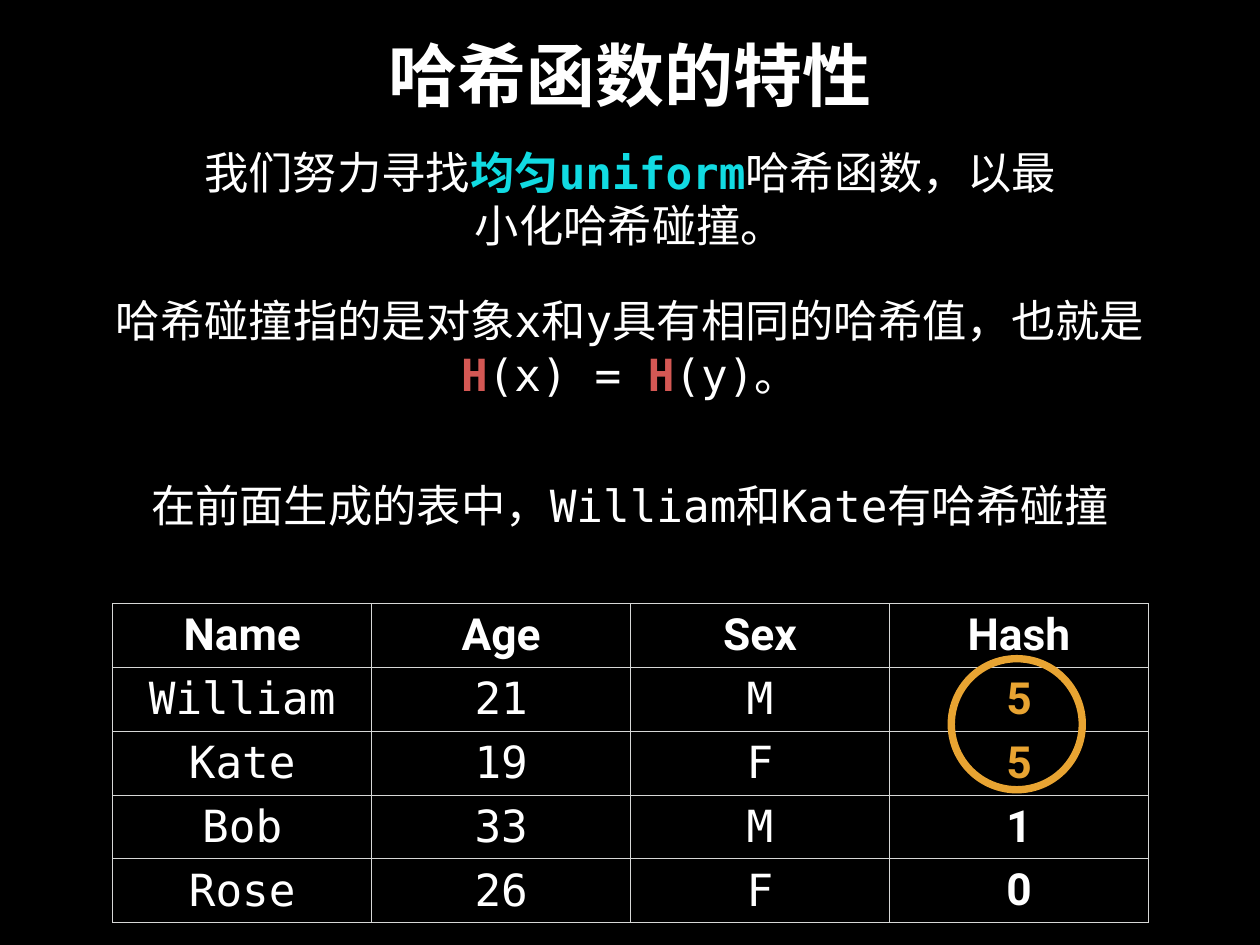
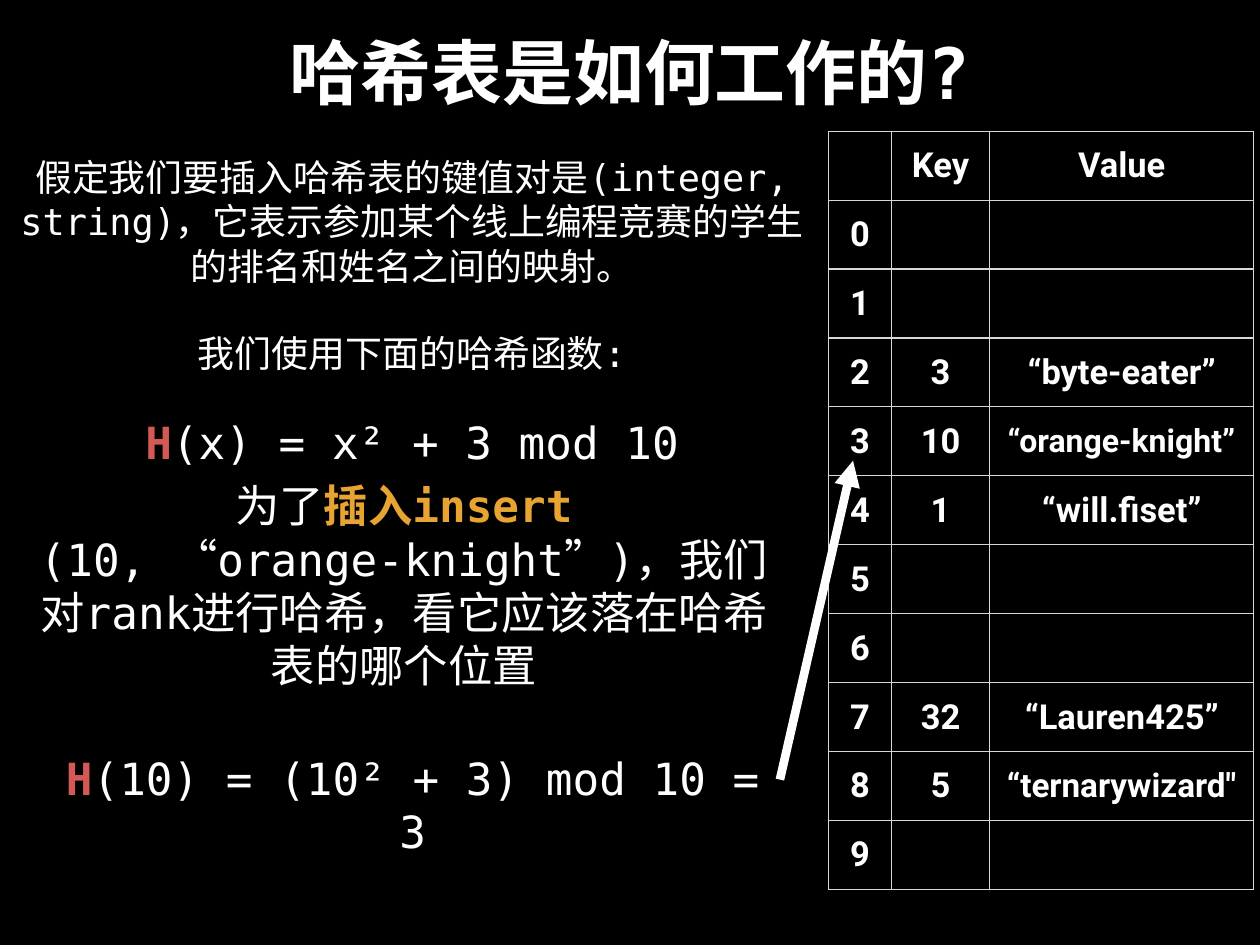
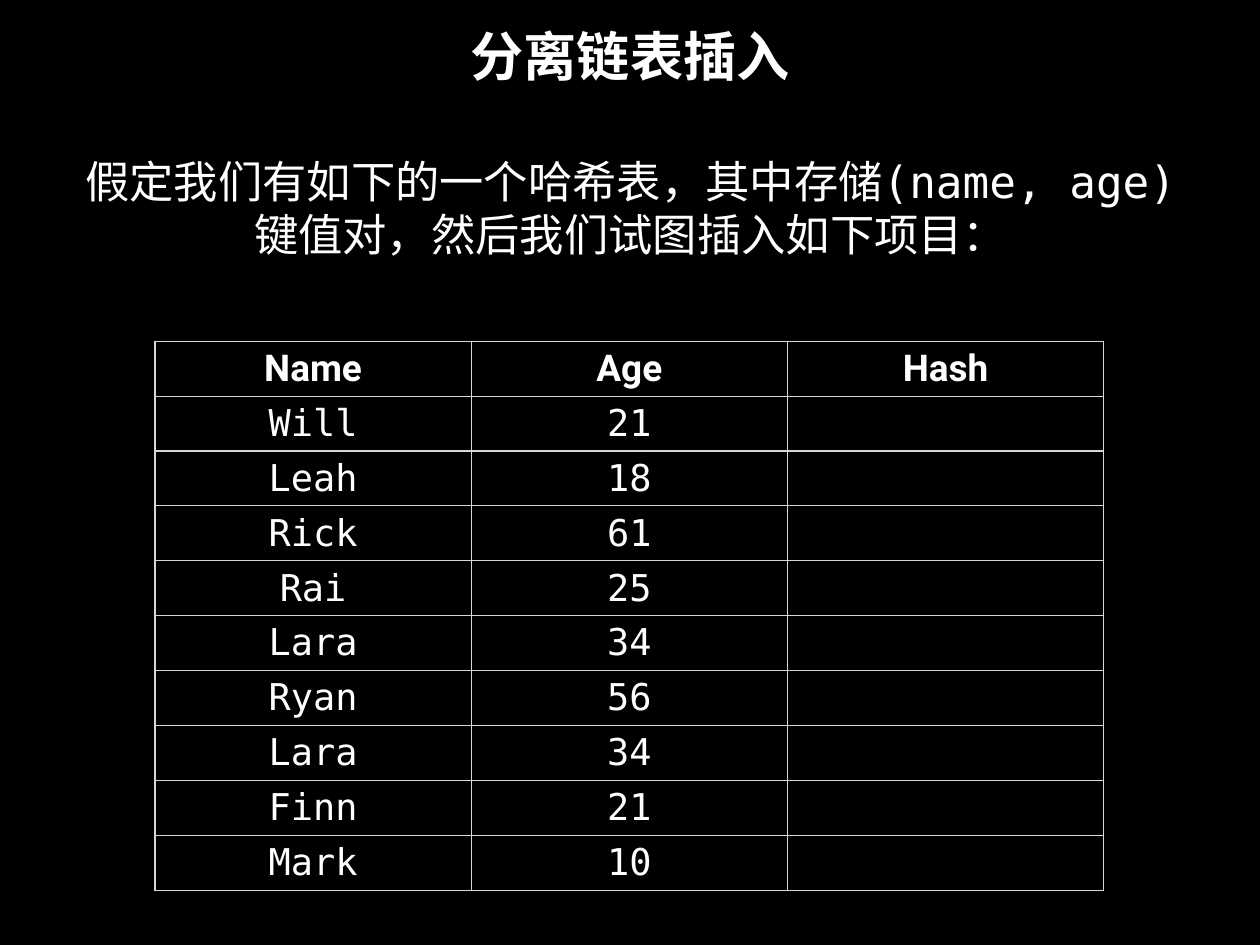
"""Build three slides on hash functions and hash tables."""
from lxml import etree
from pptx import Presentation
from pptx.dml.color import RGBColor
from pptx.enum.shapes import MSO_CONNECTOR, MSO_SHAPE
from pptx.enum.text import MSO_ANCHOR, PP_ALIGN
from pptx.oxml.ns import qn
from pptx.util import Inches, Pt

STRAIGHT = MSO_CONNECTOR.STRAIGHT
ELLIPSE = MSO_SHAPE.OVAL
MIDDLE = MSO_ANCHOR.MIDDLE
CENTER = PP_ALIGN.CENTER

BLACK = RGBColor(0x00, 0x00, 0x00)
WHITE = RGBColor(0xFF, 0xFF, 0xFF)
CYAN = RGBColor(0x11, 0xDB, 0xE2)
RED = RGBColor(0xD4, 0x58, 0x54)
ORANGE = RGBColor(0xE8, 0xA4, 0x32)
BORDER = RGBColor(0xD6, 0xD7, 0xD6)

MONO = "DejaVu Sans Mono"
SANS = "Roboto"
INSET = Inches(0.06)
TITLE_SIZE = 56
BODY_SIZE = 36
INTRO_SIZE = 30

deck = Presentation()
deck.slide_width = Inches(14.22)
deck.slide_height = Inches(10.67)
deck.slide_master.background.fill.solid()
deck.slide_master.background.fill.fore_color.rgb = BLACK
BLANK = deck.slide_layouts[6]


def share(*percents):
    """Turn alternating percentages of slide width and height into lengths."""
    sides = (deck.slide_width, deck.slide_height)
    return [round(sides[index % 2] * percent / 100) for index, percent in enumerate(percents)]


def write(frame, paragraphs, size, font=MONO, gap=0):
    """Write centred paragraphs, each a list of (text, colour, bold) runs."""
    for index, runs in enumerate(paragraphs):
        para = frame.add_paragraph() if index else frame.paragraphs[0]
        para.alignment = CENTER
        if index:
            para.space_before = Pt(gap)
        for text, colour, bold in runs:
            span = para.add_run()
            span.text = text
            span.font.name = font
            span.font.size = Pt(size)
            span.font.bold = bold
            span.font.color.rgb = colour


HASH_MARK = ("H", RED, True)

TEXTS = [
    [
        ((3.4, 1.2, 93.2, 13.3), TITLE_SIZE, True, 0, [[("哈希函数的特性", WHITE, True)]]),
        ((14.25, 14.8, 71.5, 12.4), BODY_SIZE, True, 0, [[
            ("我们努力寻找", WHITE, False),
            ("均匀uniform", CYAN, True),
            ("哈希函数，以最小化哈希碰撞。", WHITE, False)]]),
        ((5, 30.5, 90, 12.4), BODY_SIZE, True, 0, [[
            ("哈希碰撞指的是对象x和y具有相同的哈希值，也就是", WHITE, False),
            HASH_MARK, ("(x) = ", WHITE, False),
            HASH_MARK, ("(y)。", WHITE, False)]]),
        ((5, 50, 90, 6.75), BODY_SIZE, True, 0, [[
            ("在前面生成的表中，William和Kate有哈希碰撞", WHITE, False)]]),
    ],
    [
        ((3.4, 1.5, 93.2, 12), 57.6, True, 0, [[("哈希表是如何工作的?", WHITE, True)]]),
        ((0.4, 15.65, 64.6, 24.75), INTRO_SIZE, True, 35, [
            [("假定我们要插入哈希表的键值对是(integer, string)，"
              "它表示参加某个线上编程竞赛的学生的排名和姓名之间的映射。", WHITE, False)],
            [("我们使用下面的哈希函数:", WHITE, False)]]),
        ((11.1, 43.6, 43.2, 6.4), BODY_SIZE, False, 0, [[
            HASH_MARK, ("(x) = x² + 3 mod 10", WHITE, False)]]),
        ((1.3, 50, 61.5, 23.8), BODY_SIZE, True, 0, [
            [("为了", WHITE, False), ("插入", ORANGE, True), ("insert", ORANGE, True)],
            [("(10, “orange-knight”)，我们对rank进行哈希，"
              "看它应该落在哈希表的哪个位置", WHITE, False)]]),
        ((2.7, 81.9, 60.1, 6.4), BODY_SIZE, False, 0, [[
            HASH_MARK, ("(10) = (10² + 3) mod 10 = 3", WHITE, False)]]),
    ],
    [
        ((0, -0.3, 100, 12.2), 43.2, True, 0, [[("分离链表插入", WHITE, True)]]),
        ((5.7, 15.75, 88.7, 12.4), BODY_SIZE, True, 0, [[
            ("假定我们有如下的一个哈希表，其中存储(name, age)键值对，"
             "然后我们试图插入如下项目：", WHITE, False)]]),
    ],
]

PEOPLE = [("Name", "Age", "Sex", "Hash"), ("William", "21", "M", "5"),
          ("Kate", "19", "F", "5"), ("Bob", "33", "M", "1"), ("Rose", "26", "F", "0")]
STORED = {2: ("3", "“byte-eater”"), 3: ("10", "“orange-knight”"), 4: ("1", "“will.fiset”"),
          7: ("32", "“Lauren425”"), 8: ("5", "“ternarywizard\"")}
SLOTS = [("", "Key", "Value")] + [(str(slot), *STORED.get(slot, ("", ""))) for slot in range(10)]
ENTRIES = [("Name", "Age", "Hash")] + [(name, age, "") for name, age in (
    ("Will", "21"), ("Leah", "18"), ("Rick", "61"), ("Rai", "25"), ("Lara", "34"),
    ("Ryan", "56"), ("Lara", "34"), ("Finn", "21"), ("Mark", "10"))]

TABLES = [
    ((8.95, 63.9), [20.55] * 4, 6.4, 36, 3, PEOPLE),
    ((65.75, 13.87), [5, 7.8, 20.95], 7.3, 28, 0, SLOTS),
    ((12.3, 36.1), [25.1] * 3, 5.73, 30, 3, ENTRIES),
]
NARROW_SIZES = {"“orange-knight”": 26, "“ternarywizard\"": 27}
COLLISION = "5"

pages = []
for texts, (corner, widths, row_height, size, mono_columns, rows) in zip(TEXTS, TABLES):
    page = deck.slides.add_slide(BLANK)
    pages.append(page)

    for place, text_size, wraps, gap, paragraphs in texts:
        frame = page.shapes.add_textbox(*share(*place)).text_frame
        frame.word_wrap = wraps
        frame.vertical_anchor = MIDDLE
        frame.margin_left = frame.margin_right = INSET
        frame.margin_top = frame.margin_bottom = INSET
        write(frame, paragraphs, text_size, gap=gap)

    extent = (sum(widths), row_height * len(rows))
    table = page.shapes.add_table(len(rows), len(widths), *share(*corner, *extent)).table
    table.first_row = table.horz_banding = False
    for column, width in zip(table.columns, widths):
        column.width = share(width)[0]
    for row_index, row in enumerate(rows):
        table.rows[row_index].height = share(0, row_height)[1]
        for column_index, text in enumerate(row):
            cell = table.cell(row_index, column_index)
            cell.vertical_anchor = MIDDLE
            cell.margin_left = cell.margin_right = INSET
            cell.margin_top = cell.margin_bottom = INSET
            properties = cell._tc.get_or_add_tcPr()
            for side in ("a:lnL", "a:lnR", "a:lnT", "a:lnB"):
                border = etree.SubElement(properties, qn(side), w=str(Pt(1)))
                paint = etree.SubElement(border, qn("a:solidFill"))
                etree.SubElement(paint, qn("a:srgbClr"), val=str(BORDER))
            cell.fill.background()
            if text:
                is_mono = row_index > 0 and column_index < mono_columns
                is_collision = rows is PEOPLE and text == COLLISION
                write(cell.text_frame, [[(text, ORANGE if is_collision else WHITE, not is_mono)]],
                      NARROW_SIZES.get(text, size), MONO if is_mono else SANS)

collision_ring = pages[0].shapes.add_shape(ELLIPSE, *share(75.5, 69.7, 10.4, 13.87))
collision_ring.shadow.inherit = False
collision_ring.fill.background()
collision_ring.line.color.rgb = ORANGE
collision_ring.line.width = Pt(6)

slot_arrow = pages[1].shapes.add_connector(STRAIGHT, *share(61.9, 82.5, 67.7, 48.75))
slot_arrow.line.color.rgb = WHITE
slot_arrow.line.width = Pt(7)
etree.SubElement(slot_arrow.line._get_or_add_ln(), qn("a:tailEnd"), type="triangle")
etree.SubElement(slot_arrow._element.spPr, qn("a:effectLst"))

deck.save("out.pptx")
